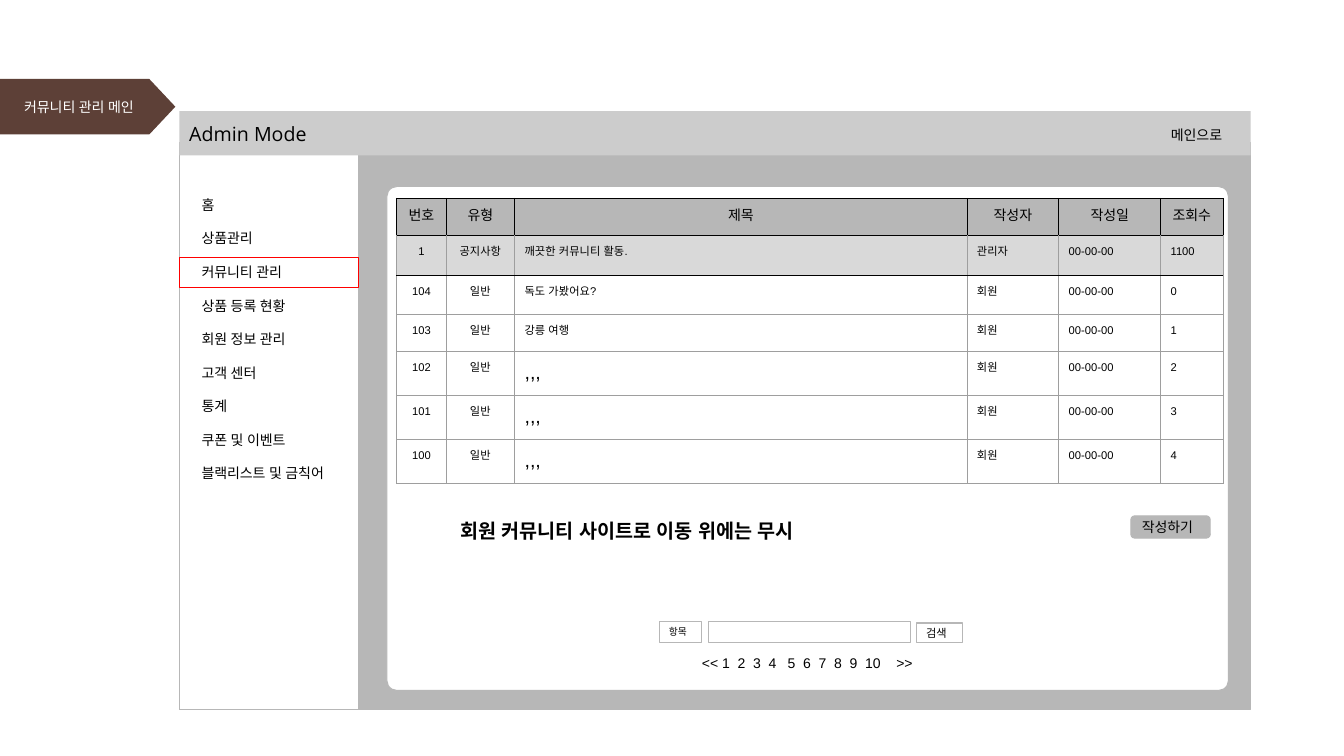
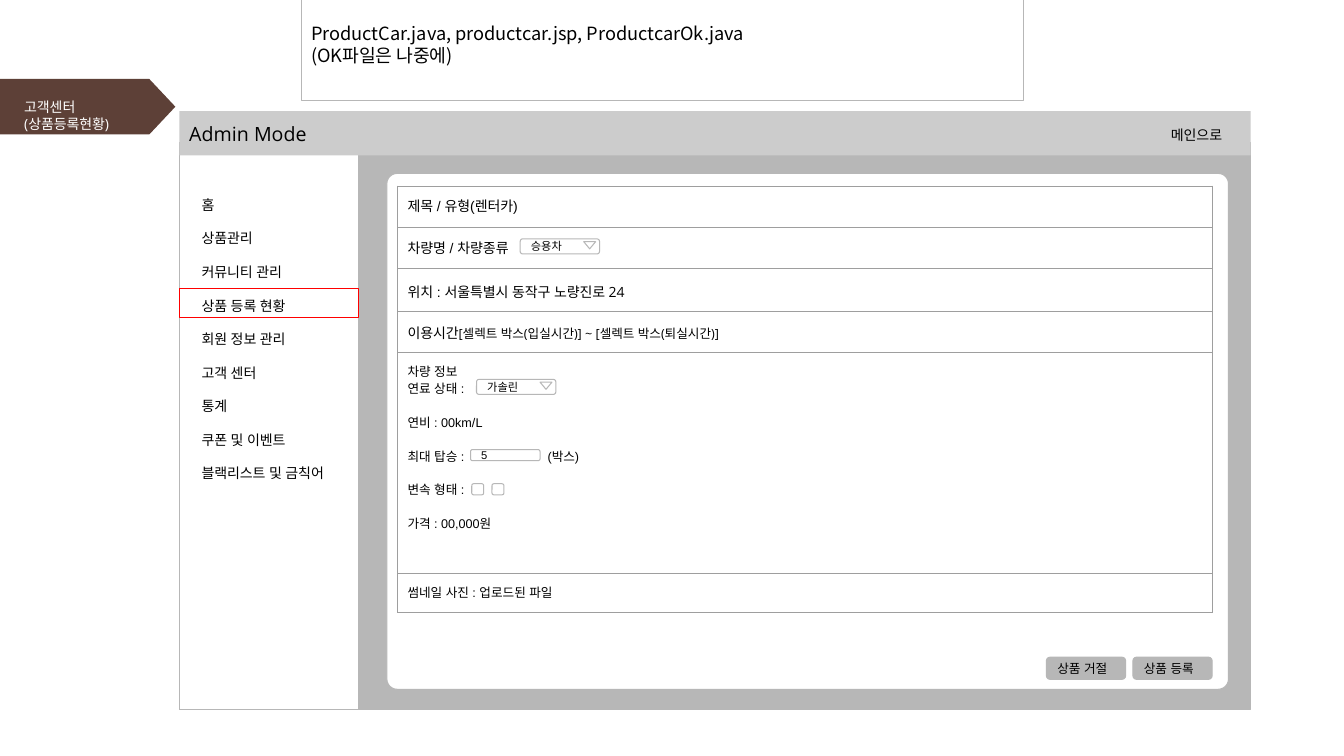
from dataclasses import dataclass
from typing import Any, NamedTuple

from lxml.etree import SubElement
from pptx import Presentation
from pptx.dml.color import RGBColor as Rgb
from pptx.enum.shapes import MSO_SHAPE as Form
from pptx.enum.text import MSO_ANCHOR as Anchor, MSO_AUTO_SIZE as Fit, PP_ALIGN as Align
from pptx.oxml import parse_xml
from pptx.oxml.ns import nsdecls, qn
from pptx.util import Cm, Pt


# Theme
@dataclass(frozen=True)
class Theme:
    brown: str = "5D4037"
    white: str = "FFFFFF"
    black: str = "000000"
    mid: str = "B7B7B7"
    light: str = "CCCCCC"
    pale: str = "D9D9D9"
    rule: str = "9E9E9E"
    red: str = "FF0000"
    sans: str = "Open Sans"
    plain: str = "Arial"
    noto: str = "Noto Sans CJK SC"
    head: int = 14
    file: int = 13
    text: int = 10
    note: int = 9
    small: int = 8
    tiny: int = 7


T = Theme()
PAD = 0.25
LINE = 0.75


class Run(NamedTuple):
    text: str
    size: float = T.text
    font: str = T.plain
    color: str = T.black
    bold: bool = False


class Para(NamedTuple):
    runs: list[Run]
    form: dict[str, Any] = {}
    tabs: tuple[float, ...] = ()


@dataclass(frozen=True)
class Box:
    x: float
    y: float
    w: float
    h: float
    paras: tuple[Para, ...] = ()
    fill: str | None = T.white
    line: str | None = T.mid
    form: Form = Form.RECTANGLE
    round: float | None = None
    turn: float = 0
    pad: float = PAD


class Grid(NamedTuple):
    x: float
    y: float
    cols: list[float]
    rows: list[float]
    cells: list[list[list[Para]]]
    shades: tuple[str, ...] = ()


MENU = ["홈", "상품관리", "커뮤니티 관리", "상품 등록 현황", "회원 정보 관리",
        "고객 센터", "통계", "쿠폰 및 이벤트", "블랙리스트 및 금칙어"]
LIST = {"alignment": Align.LEFT, "line_spacing": Pt(12), "space_before": Pt(0)}
WIDE = {"line_spacing": 1.2}


# Text helpers
def apply(item: Any, vals: dict[str, Any]) -> None:
    for key, val in vals.items():
        setattr(item, key, val)


def para(text: str, *args: Any, **form: Any) -> Para:
    return Para([Run(text, *args)], form)


def write(frame: Any, paras: Any) -> None:
    for i, item in enumerate(paras):
        p = frame.paragraphs[0] if i == 0 else frame.add_paragraph()
        apply(p, item.form)
        if item.tabs:
            tabs = SubElement(p._p.get_or_add_pPr(), qn("a:tabLst"))
            for stop in item.tabs:
                SubElement(tabs, qn("a:tab"), pos=str(Cm(stop)), algn="l")
        for run in item.runs:
            r = p.add_run()
            r.text = run.text
            apply(r.font, {"name": run.font, "size": Pt(run.size), "bold": run.bold})
            r.font.color.rgb = Rgb.from_string(run.color)
            SubElement(r._r.get_or_add_rPr(), qn("a:ea"), typeface=run.font)


def pads(item: Any, side: float, edge: float) -> None:
    apply(item, {"margin_left": Cm(side), "margin_right": Cm(0),
                 "margin_top": Cm(edge), "margin_bottom": Cm(edge)})


# Shapes
def draw(slide: Any, box: Box) -> None:
    s = slide.shapes.add_shape(box.form, *map(Cm, (box.x, box.y, box.w, box.h)))
    s.shadow.inherit = False
    s.rotation = box.turn
    if box.round is not None:
        s.adjustments[0] = box.round
    for part, color in ((s.fill, box.fill), (s.line.fill, box.line)):
        if color:
            part.solid()
            part.fore_color.rgb = Rgb.from_string(color)
        else:
            part.background()
    if box.line:
        s.line.width = Pt(LINE)
    if box.paras:
        frame = s.text_frame
        apply(frame, {"word_wrap": True, "vertical_anchor": Anchor.MIDDLE})
        pads(frame, box.pad, 0)
        write(frame, box.paras)
        for p in frame.paragraphs:
            p.alignment = Align.LEFT


def field(slide: Any, x: float, y: float, w: float, h: float,
          text: str = "", size: float = T.small) -> None:
    paras = (para(text, size),) if text else ()
    draw(slide, Box(x, y, w, h, paras, form=Form.ROUNDED_RECTANGLE, round=0.17))


def button(slide: Any, x: float, y: float, text: str, size: float) -> None:
    draw(slide, Box(x, y, 2, 0.56, (para(text, size),), T.mid,
                    form=Form.ROUNDED_RECTANGLE, round=0.17))


def select(slide: Any, x: float, y: float, text: str) -> None:
    field(slide, x, y, 2, 0.38, text)
    draw(slide, Box(x + 1.6, y + 0.07, 0.3, 0.18,
                    form=Form.ISOSCELES_TRIANGLE, turn=180))


# Tables
def border(cell: Any, row: int, heads: int) -> None:
    top = heads > 0 and row <= heads
    dark = {"L": row < heads - 1, "R": row < heads - 1, "T": top, "B": row < heads}
    for i, (side, deep) in enumerate(dark.items()):
        color = T.black if deep else T.rule
        cell._tc.get_or_add_tcPr().insert(i, parse_xml(
            f'<a:ln{side} {nsdecls("a")} w="{Pt(LINE)}"><a:solidFill>'
            f'<a:srgbClr val="{color}"/></a:solidFill></a:ln{side}>'))


def table(slide: Any, grid: Grid) -> None:
    size = len(grid.rows), len(grid.cols)
    place = (grid.x, grid.y, sum(grid.cols), sum(grid.rows))
    tab = slide.shapes.add_table(*size, *map(Cm, place)).table
    apply(tab, {"first_row": False, "horz_banding": False})
    for col, wide in zip(tab.columns, grid.cols):
        col.width = Cm(wide)
    for r, high in enumerate(grid.rows):
        tab.rows[r].height = Cm(high)
        for c in range(size[1]):
            cell = tab.cell(r, c)
            pads(cell, PAD, PAD)
            if r < len(grid.shades):
                cell.fill.solid()
                cell.fill.fore_color.rgb = Rgb.from_string(grid.shades[r])
            else:
                cell.fill.background()
            border(cell, r, len(grid.shades))
            if c < len(grid.cells[r]):
                write(cell.text_frame, grid.cells[r][c])
                if size[1] == 6:
                    cell.margin_right = Cm(PAD)
        if len(grid.cells[r]) == 1:
            tab.cell(r, 0).merge(tab.cell(r, size[1] - 1))


# Shared admin frame
def hold(slide: Any, spot: Any, place: tuple[float, ...], paras: list[Para]) -> None:
    apply(spot, dict(zip(("left", "top", "width", "height"), map(Cm, place))))
    frame = spot.text_frame
    apply(frame, {"auto_size": Fit.NONE, "word_wrap": True,
                  "vertical_anchor": Anchor.TOP})
    pads(frame, PAD, PAD)
    write(frame, paras)
    for p in frame.paragraphs:
        props = p._p.get_or_add_pPr()
        apply(p, {"level": 0})
        props.set("marL", "0")
        props.set("indent", "0")
        SubElement(props, qn("a:buNone"))
    slide.shapes._spTree.append(spot._element)


def shell(deck: Any, title: list[str], mark: float, top: float, high: float) -> Any:
    slide = deck.slides.add_slide(deck.slide_layouts[1])
    link = (para("메인으로", T.text, T.sans),)
    for box in (
        Box(0, 1.99, 4.42, 1.4, fill=T.brown, line=None, form=Form.PENTAGON, round=0.47),
        Box(4.52, 3.58, 27, 14.3, fill=T.mid),
        Box(4.52, 3.58, 4.52, 14.3),
        Box(4.52, 2.8, 27, 1.12, (para("Admin Mode", T.head, T.sans),), T.light, None),
        Box(29.26, 2.92, 2.26, 0.94, link, None, None),
        Box(4.52, mark, 4.52, 0.74, fill=None, line=T.red),
        Box(9.75, top, 21.21, high, form=Form.ROUNDED_RECTANGLE, round=0.02),
    ):
        draw(slide, box)
    hold(slide, slide.shapes.title, (0.36, 2.24, 3.73, 1.37),
         [para(t, T.text, T.sans, T.white, **LIST) for t in title])
    hold(slide, slide.placeholders[1], (4.83, 4.7, 4.22, 7.77),
         [para(t, T.text, T.sans, **LIST | {"space_before": Pt(12 if i else 0)})
          for i, t in enumerate(MENU)])
    return slide


# Community board
def board(deck: Any) -> None:
    slide = shell(deck, ["커뮤니티 관리 메인"], 6.5, 4.7, 12.7)
    heads = ["번호", "유형", "제목", "작성자", "작성일", "조회수"]
    posts = [("1", "공지사항", "깨끗한 커뮤니티 활동.", "관리자", "1100"),
             ("104", "일반", "독도 가봤어요?", "회원", "0"),
             ("103", "일반", "강릉 여행", "회원", "1")]
    posts += [(str(102 - i), "일반", ",,,", "회원", str(2 + i)) for i in range(3)]
    cells = [[[para(t, alignment=Align.CENTER)] for t in heads]]
    for *front, hits in posts:
        cells.append([[para(t, T.head if t == ",,," else T.small,
                            alignment=Align.CENTER if c < 2 else Align.LEFT)]
                      for c, t in enumerate([*front, "00-00-00", hits])])
    table(slide, Grid(10, 5, [1.24, 1.73, 11.4, 2.31, 2.57, 1.57],
                      [0.94, 0.99, 0.99, 0.94] + [1.11] * 3, cells, (T.mid, T.pale)))

    # Search row and page numbers
    pages = "\t".join(["<<", *map(str, range(1, 11)), ">>"])
    stops = [0.51 + 0.39 * i + (0.09 if i > 3 else 0) for i in range(10)] + [4.9]
    note = para("회원 커뮤니티 사이트로 이동 위에는 무시", T.head, T.sans, T.black, True)
    for box in (
        Box(17.86, 15.67, 5.08, 0.51),
        Box(16.61, 15.67, 1.07, 0.51, (para("항목", T.tiny),)),
        Box(23.09, 15.7, 1.17, 0.48, (para("검색", T.small),)),
        Box(17.69, 16.33, 6, 0.74, (Para([Run(pages)], tabs=tuple(stops)),),
            None, None, pad=0),
        Box(11.35, 12.8, 16.36, 1.12, (note,), None, None),
    ):
        draw(slide, box)
    button(slide, 28.5, 13, "작성하기", T.text)


# Rental car listing
def listing(deck: Any) -> None:
    slide = shell(deck, ["고객센터", "(상품등록현황)"], 7.26, 4.37, 13)
    gap = WIDE | {"space_before": Pt(12)}
    time = "[셀렉트 박스(입실시간)] ~ [셀렉트 박스(퇴실시간)]"
    specs = [para("차량 정보", T.note, **WIDE), para("연료 상태 :", T.note, **WIDE),
             para("연비 : 00km/L", T.note, **gap),
             Para([Run("최대 탑승 :\t(박스)", T.note)], gap, (3.53,)),
             para("변속 형태 :", T.note, **gap), para("가격 : 00,000원", T.note, **gap)]
    rows = [[para("제목 / 유형(렌터카)", **WIDE)],
            [para("차량명 / 차량종류", **WIDE)],
            [Para([Run("위치 : "),
                   Run("서울특별시 동작구 노량진로 24", T.text, T.sans)], WIDE)],
            [Para([Run("이용시간"), Run(time, T.note, T.sans)], WIDE)],
            specs,
            [para("썸네일 사진 : 업로드된 파일", T.note, **WIDE)]]
    table(slide, Grid(10.02, 4.69, [14.99, 2.77, 2.77],
                      [1.04] * 4 + [5.56, 0.99], [[r] for r in rows]))

    # Form controls
    select(slide, 13.11, 6.02, "승용차")
    select(slide, 12.01, 9.56, "가솔린")
    for x in (11.89, 12.4):
        field(slide, x, 12.19, 0.3, 0.28)
    field(slide, 11.86, 11.33, 1.75, 0.28, "5")
    for x, text in ((28.55, "상품 등록"), (26.37, "상품 거절")):
        button(slide, x, 16.56, text, T.note)

    # File names
    files = ("ProductCar.java, productcar.jsp, ProductcarOk.java", "(OK파일은 나중에)")
    draw(slide, Box(7.59, -0.33, 18.21, 2.87, tuple(
        para(t, T.file, T.noto, line_spacing=Pt(16)) for t in files)))


def main() -> None:
    deck = Presentation()
    apply(deck, {"slide_width": Cm(33.87), "slide_height": Cm(19.05)})
    board(deck)
    listing(deck)
    deck.save("out.pptx")


if __name__ == "__main__":
    main()
